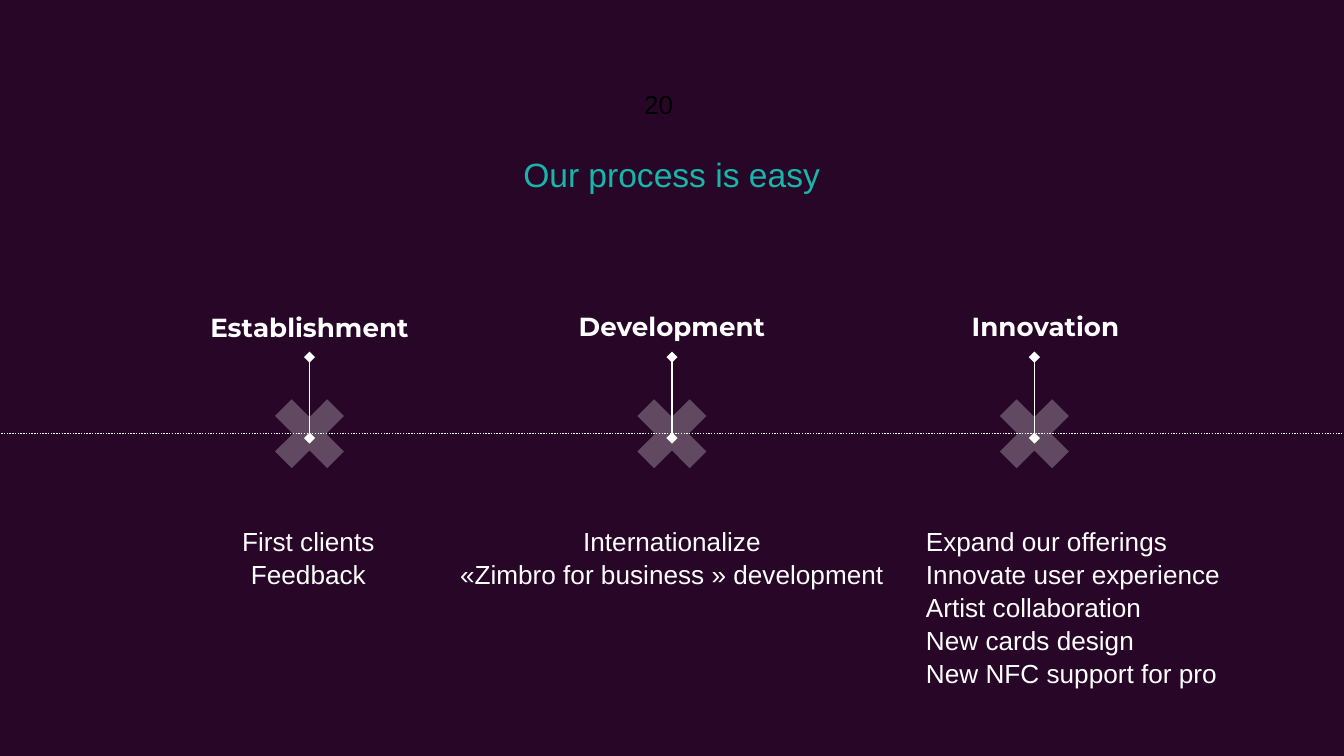
"""Build the process timeline slide with three stages."""
from lxml import etree
from pptx import Presentation, util as u
from pptx.dml.color import RGBColor
from pptx.enum import dml, shapes, text
from pptx.oxml.ns import qn

PLUM = RGBColor(0x28, 0x06, 0x28)
TEAL = RGBColor(0x17, 0xB6, 0xAA)
WHITE = RGBColor(0xFF, 0xFF, 0xFF)
BLACK = RGBColor(0, 0, 0)
CENTER, LEFT = text.PP_ALIGN.CENTER, text.PP_ALIGN.LEFT
CROSS = 1.9
AXIS_Y = 8.2


def write(box, lines, font, size, color, align=CENTER, bold=False, spacing=1.0):
    frame = box.text_frame
    for index, line in enumerate(lines):
        paragraph = frame.add_paragraph() if index else frame.paragraphs[0]
        paragraph.alignment = align
        paragraph.line_spacing = spacing
        run = paragraph.add_run()
        run.text = line
        run.font.name = font
        run.font.size = u.Pt(size)
        run.font.bold = bold
        run.font.color.rgb = color
    return frame


def draw_line(x1, y1, x2, y2):
    line = slide.shapes.add_connector(
        shapes.MSO_CONNECTOR.STRAIGHT, u.Cm(x1), u.Cm(y1), u.Cm(x2), u.Cm(y2))
    line.line.color.rgb = WHITE
    line.line.width = u.Pt(0.75)
    etree.SubElement(line._element.spPr, qn("a:effectLst"))
    return line


prs = Presentation()
prs.slide_width, prs.slide_height = u.Cm(25.4), u.Cm(14.29)
slide = prs.slides.add_slide(prs.slide_layouts[5])
slide.background.fill.solid()
slide.background.fill.fore_color.rgb = PLUM

title = slide.shapes.title
title.left, title.top, title.width, title.height = u.Cm(0.91), u.Cm(2.74), u.Cm(23.57), u.Cm(1.1)
title_frame = write(title, ["Our process is easy"], "Arial", 18, TEAL)
title_frame.auto_size = text.MSO_AUTO_SIZE.NONE
title_frame.vertical_anchor = text.MSO_ANCHOR.MIDDLE

page_number = slide.shapes.add_textbox(u.Cm(11.7), u.Cm(1.55), u.Cm(1.5), u.Cm(0.87))
write(page_number, ["20"], "Arial", 14, BLACK)

axis = draw_line(-0.03, AXIS_Y, 25.43, AXIS_Y)
axis.line.dash_style = dml.MSO_LINE.ROUND_DOT

stages = [
    ("Establishment", 5.85, 5.64, 4.42, 5.83, 3.02, 1.45, CENTER,
     ["First clients", "Feedback"]),
    ("Development", 12.7, 5.61, 4.32, 12.7, 8.71, 2.06, CENTER,
     ["Internationalize", "«Zimbro for business\u00a0» development"]),
    ("Innovation", 19.76, 5.61, 3.86, 20.31, 6.12, 3.25, LEFT,
     ["Expand our offerings", "Innovate user experience", "Artist collaboration",
      "New cards design", "New NFC support for pro"]),
]

for index, (name, name_x, name_y, name_width, steps_x, steps_width, steps_height,
            align, steps) in enumerate(stages):
    stage_x = 5.85 + index * 6.85

    cross = slide.shapes.add_shape(
        shapes.MSO_SHAPE.MATH_MULTIPLY, u.Cm(stage_x - CROSS / 2), u.Cm(AXIS_Y - CROSS / 2),
        u.Cm(CROSS), u.Cm(CROSS))
    cross.adjustments[0] = 0.235
    cross.shadow.inherit = False
    cross.fill.solid()
    cross.fill.fore_color.rgb = WHITE
    cross.line.fill.background()
    color = cross._element.spPr.find(qn("a:solidFill"))[0]
    etree.SubElement(color, qn("a:alpha"), val="27000")

    stem = draw_line(stage_x, 8.28, stage_x, 6.75)
    for end in ("a:headEnd", "a:tailEnd"):
        etree.SubElement(stem.line._get_or_add_ln(), qn(end), type="diamond")

    heading = slide.shapes.add_textbox(
        u.Cm(name_x - name_width / 2), u.Cm(name_y), u.Cm(name_width), u.Cm(1.14))
    heading_frame = write(heading, [name], "Montserrat", 14, WHITE, bold=True)
    heading_frame.word_wrap = True
    heading_frame.margin_top = heading_frame.margin_bottom = u.Cm(0.25)

    details = slide.shapes.add_textbox(
        u.Cm(steps_x - steps_width / 2), u.Cm(9.78), u.Cm(steps_width), u.Cm(steps_height))
    details_frame = write(details, steps, "Arial", 14, WHITE, align, spacing=1.05)
    details_frame.word_wrap = False
    details_frame.auto_size = text.MSO_AUTO_SIZE.SHAPE_TO_FIT_TEXT

prs.save("out.pptx")
